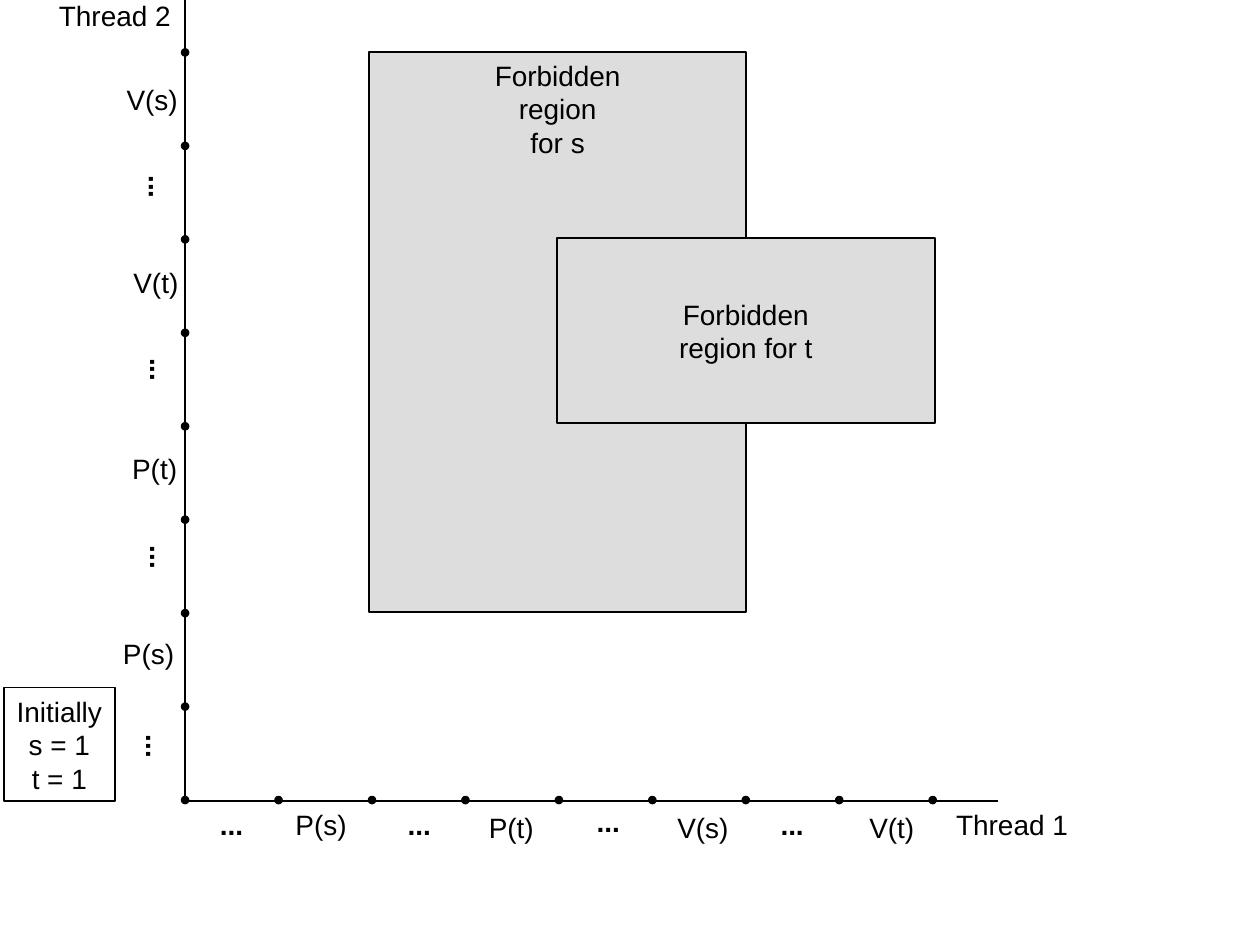
"""Progress graph of two threads with overlapping forbidden regions for semaphores s and t."""
import pptx
import pptx.dml.color
import pptx.enum.shapes
import pptx.enum.text
import pptx.oxml.ns
import pptx.util
from lxml import etree

Pt = pptx.util.Pt
ANCHOR = pptx.enum.text.MSO_ANCHOR
SHAPE = pptx.enum.shapes.MSO_SHAPE
BLACK = pptx.dml.color.RGBColor(0x00, 0x00, 0x00)
GREY = pptx.dml.color.RGBColor(0xDD, 0xDD, 0xDD)

ORIGIN_X, ORIGIN_Y = 105.8, 457.9
STEP = 53.4
DOT = 2.9
LABEL_HEIGHT = 26.6


def write(shape, lines, anchor=ANCHOR.MIDDLE, bold=False, grow=True):
    frame = shape.text_frame
    frame.text = "\n".join(lines)
    frame.word_wrap = False
    frame.vertical_anchor = anchor
    if grow:
        frame.auto_size = pptx.enum.text.MSO_AUTO_SIZE.SHAPE_TO_FIT_TEXT
    for paragraph in frame.paragraphs:
        paragraph.alignment = pptx.enum.text.PP_ALIGN.CENTER
        paragraph.font.name = "Arial"
        paragraph.font.size = Pt(16)
        paragraph.font.bold = bold
        paragraph.font.color.rgb = BLACK


def add_outlined(kind, left, top, width, height, fill, line_width):
    shape = slide.shapes.add_shape(kind, Pt(left), Pt(top), Pt(width), Pt(height))
    shape.shadow.inherit = False
    if fill is None:
        shape.fill.background()
    else:
        shape.fill.solid()
        shape.fill.fore_color.rgb = fill
    shape.line.color.rgb = BLACK
    shape.line.width = Pt(line_width)
    return shape


deck = pptx.Presentation()
deck.slide_width, deck.slide_height = Pt(720), Pt(540)
slide = deck.slides.add_slide(deck.slide_layouts[6])

for end_x, end_y in [(570.2, ORIGIN_Y), (ORIGIN_X, -5.8)]:
    axis = slide.shapes.add_connector(
        pptx.enum.shapes.MSO_CONNECTOR.STRAIGHT,
        Pt(ORIGIN_X), Pt(ORIGIN_Y), Pt(end_x), Pt(end_y),
    )
    axis.line.color.rgb = BLACK
    axis.line.width = Pt(1)
    etree.SubElement(axis.element.spPr, pptx.oxml.ns.qn("a:effectLst"))

thread_1_states = [(step, 0) for step in range(9)]
thread_2_states = [(0, step) for step in range(1, 9)]
for across, up in thread_1_states + thread_2_states:
    add_outlined(
        SHAPE.OVAL,
        ORIGIN_X + across * STEP - DOT / 2,
        ORIGIN_Y - 0.7 - up * STEP - DOT / 2,
        DOT, DOT, BLACK, 2,
    )

labels = [
    ("Thread 1", 537.3, 457.9, 82),
    ("Thread 2", 24.6, -4.3, 82),
    ("P(s)", 160, 457.9, 47),
    ("P(t)", 270.2, 459.4, 44),
    ("V(s)", 378.2, 459.4, 47),
    ("V(t)", 487.6, 459.4, 44),
    ("P(s)", 61.4, 360, 47),
    ("P(t)", 66.4, 254.2, 44),
    ("V(t)", 67.1, 148.3, 44),
    ("V(s)", 63.5, 43.2, 47),
    ("...", 116.8, 457.9, 31),
    ("...", 224.1, 457.9, 31),
    ("...", 332.1, 455.8, 31),
    ("...", 437.2, 457.9, 31),
]
for text, left, top, width in labels:
    label = slide.shapes.add_textbox(Pt(left), Pt(top), Pt(width), Pt(LABEL_HEIGHT))
    write(label, [text], bold=text == "...")

for left, top in [(73.4, 412.7), (75.6, 304.7), (75.6, 197.4), (74.9, 93)]:
    ellipsis = slide.shapes.add_textbox(Pt(left), Pt(top), Pt(33.1), Pt(28))
    write(ellipsis, ["..."], bold=True)
    frame = ellipsis.text_frame
    frame.margin_left = frame.margin_right = Pt(3.6)
    frame.margin_top = frame.margin_bottom = Pt(7.2)
    frame._txBody.bodyPr.set("vert", "eaVert")

region_s = add_outlined(SHAPE.RECTANGLE, 211, 29.7, 215.3, 320, GREY, 1)
write(region_s, ["Forbidden", "region", "for s"], anchor=ANCHOR.TOP, grow=False)

region_t = add_outlined(SHAPE.RECTANGLE, 318.2, 136.1, 216, 105.8, GREY, 1)
write(region_t, ["Forbidden", "region for t"], grow=False)

initial_values = add_outlined(SHAPE.RECTANGLE, 2.2, 392.9, 63.4, 65, None, 1)
write(initial_values, ["Initially", "s = 1", "t = 1"])

deck.save("out.pptx")
